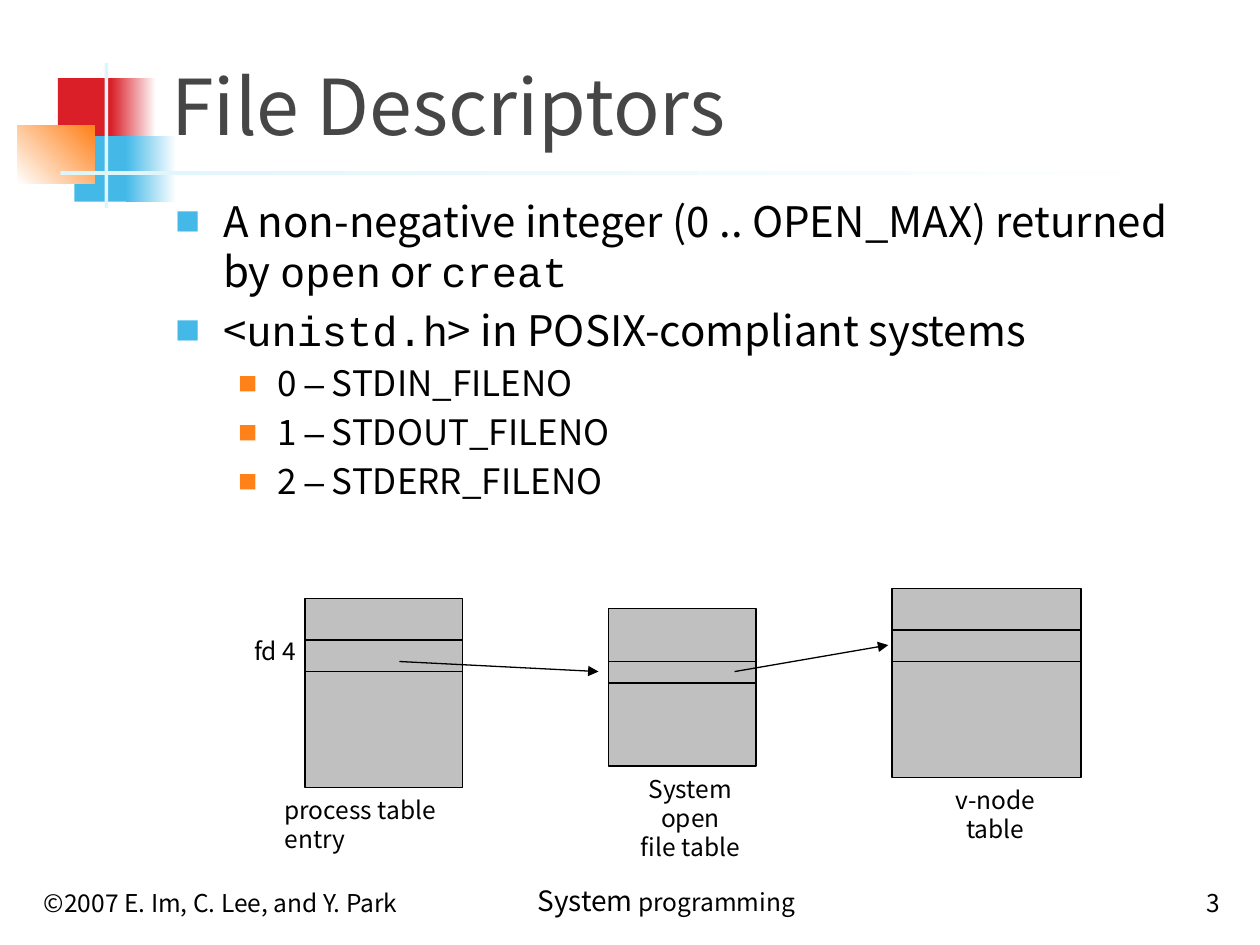
from typing import NamedTuple

from lxml import etree
from pptx import Presentation
from pptx.dml.color import RGBColor
from pptx.enum.shapes import MSO_CONNECTOR, MSO_SHAPE
from pptx.enum.text import MSO_ANCHOR, MSO_AUTO_SIZE, PP_ALIGN
from pptx.oxml.ns import qn
from pptx.util import Inches, Pt

RECTANGLE = MSO_SHAPE.RECTANGLE
STRAIGHT = MSO_CONNECTOR.STRAIGHT
LEFT, CENTER, RIGHT = PP_ALIGN.LEFT, PP_ALIGN.CENTER, PP_ALIGN.RIGHT
TOP, BOTTOM = MSO_ANCHOR.TOP, MSO_ANCHOR.BOTTOM

SANS, MONO, DASH = "Noto Sans CJK KR", "Courier New", "Arial"
COLORS = {
    "red": "DA1F28", "blue": "44B9E8", "orange": "FF8119", "pale": "DEF5FA",
    "white": "FFFFFF", "black": "000000", "title": "464646", "gray": "C0C0C0",
}


class Block(NamedTuple):
    """A decoration; with an end colour it is a gradient."""
    left: float
    top: float
    width: float
    height: float
    color: str
    end_color: str | None = None
    angle: float = 0


class Table(NamedTuple):
    """A kernel table drawn as a box with two row lines."""
    left: float
    top: float
    width: float
    height: float
    row_lines: tuple[float, float]


class Label(NamedTuple):
    left: float
    top: float
    width: float
    height: float
    lines: list[list[tuple[str, float]]]
    align: PP_ALIGN = LEFT
    anchor: MSO_ANCHOR = TOP


class Level(NamedTuple):
    size: float
    margin: float
    hanging: float
    bullet_color: str
    bullet_percent: int


BLOCKS = [
    Block(0.46, 0.62, 0.48, 0.52, "red"),
    Block(0.88, 0.62, 0.36, 0.52, "red", "white"),
    Block(0.59, 1.08, 0.46, 0.52, "blue"),
    Block(1, 1.08, 0.4, 0.52, "blue", "white"),
    Block(0.14, 1, 0.61, 0.46, "white", "orange", 45),
    Block(0.83, 0.5, 0.03, 1.15, "pale"),
    Block(0.48, 1.36, 9, 0.03, "pale", "white"),
]
LEVELS = [Level(24, 0.38, 0.38, "blue", 60), Level(20, 0.81, 0.31, "orange", 55)]
BULLETS = [
    (0, [("A non-negative integer (0 .. OPEN_MAX) returned by ", SANS),
         ("open", MONO), (" or ", SANS), ("creat", MONO)]),
    (0, [("<", SANS), ("unistd.h", MONO), ("> in POSIX-compliant systems", SANS)]),
] + [
    (1, [(f"{number} ", SANS), ("–", DASH), (f" {name}_FILENO", SANS)])
    for number, name in enumerate(["STDIN", "STDOUT", "STDERR"])
]
TABLES = [
    Table(2.42, 4.75, 1.25, 1.5, (5.08, 5.33)),
    Table(4.83, 4.83, 1.17, 1.25, (5.25, 5.42)),
    Table(7.08, 4.67, 1.5, 1.5, (5, 5.25)),
]
ARROWS = [(3.17, 5.25, 4.75, 5.33), (5.83, 5.33, 7.05, 5.12)]
LABELS = [
    Label(1.92, 5, 0.6, 0.33, [[("fd 4", 14)]]),
    Label(2.16, 6.26, 1.6, 0.57, [[("process table entry", 14)]]),
    Label(4.83, 6.09, 1.3, 0.8, [[("System open", 14)], [("file table", 14)]], CENTER),
    Label(7.3, 6.18, 1.2, 0.57, [[("v-node table", 14)]], CENTER),
    Label(0.25, 6.83, 3.11, 0.5, [[("©2007 E. Im, C. Lee, and Y. Park", 14)]], LEFT, BOTTOM),
    Label(3.5, 6.83, 3.58, 0.5, [[("System", 16), (" programming", 14)]], CENTER, BOTTOM),
    Label(7.7, 6.83, 2.08, 0.5, [[("3", 14)]], RIGHT, BOTTOM),
]


def rgb(name: str) -> RGBColor:
    return RGBColor.from_string(COLORS[name])


def place(shape, left: float, top: float, width: float, height: float) -> None:
    shape.left, shape.top = Inches(left), Inches(top)
    shape.width, shape.height = Inches(width), Inches(height)


def add_rectangle(slide, left: float, top: float, width: float, height: float):
    shape = slide.shapes.add_shape(
        RECTANGLE, Inches(left), Inches(top), Inches(width), Inches(height))
    shape.shadow.inherit = False
    return shape


def add_block(slide, block: Block) -> None:
    shape = add_rectangle(slide, *block[:4])
    shape.line.fill.background()
    if block.end_color is None:
        shape.fill.solid()
        shape.fill.fore_color.rgb = rgb(block.color)
        return
    shape.fill.gradient()
    shape.fill.gradient_angle = block.angle
    for stop, position, color in zip(
            shape.fill.gradient_stops, (0, 1), (block.color, block.end_color)):
        stop.position = position
        stop.color.rgb = rgb(color)


def add_line(slide, x1: float, y1: float, x2: float, y2: float, arrow: bool = False) -> None:
    connector = slide.shapes.add_connector(
        STRAIGHT, Inches(x1), Inches(y1), Inches(x2), Inches(y2))
    connector.line.color.rgb = rgb("black")
    connector.line.width = Pt(0.75)
    properties = connector._element.spPr
    if arrow:
        etree.SubElement(properties.find(qn("a:ln")), qn("a:tailEnd"), type="triangle")
    etree.SubElement(properties, qn("a:effectLst"))


def add_table_box(slide, table: Table) -> None:
    shape = add_rectangle(slide, *table[:4])
    shape.fill.solid()
    shape.fill.fore_color.rgb = rgb("gray")
    shape.line.color.rgb = rgb("black")
    shape.line.width = Pt(0.75)
    for y in table.row_lines:
        add_line(slide, table.left, y, table.left + table.width, y)


def add_label(slide, label: Label) -> None:
    box = slide.shapes.add_textbox(*(Inches(value) for value in label[:4]))
    frame = box.text_frame
    frame.word_wrap = True
    frame.vertical_anchor = label.anchor
    for index, runs in enumerate(label.lines):
        paragraph = frame.paragraphs[0] if index == 0 else frame.add_paragraph()
        paragraph.alignment = label.align
        paragraph.font.name = SANS
        paragraph.font.color.rgb = rgb("black")
        for text, size in runs:
            run = paragraph.add_run()
            run.text = text
            run.font.size = Pt(size)


def set_bullet(paragraph, level: Level) -> None:
    properties = paragraph._p.get_or_add_pPr()
    properties.set("marL", str(Inches(level.margin)))
    properties.set("indent", str(-Inches(level.hanging)))
    color = etree.SubElement(properties, qn("a:buClr"))
    etree.SubElement(color, qn("a:srgbClr"), val=COLORS[level.bullet_color])
    etree.SubElement(properties, qn("a:buSzPct"), val=str(level.bullet_percent * 1000))
    etree.SubElement(properties, qn("a:buFont"), typeface=SANS)
    etree.SubElement(properties, qn("a:buChar"), char="■")


def fill_title(title) -> None:
    place(title, 1.26, 0.23, 8.52, 1.02)
    frame = title.text_frame
    frame.text = "File Descriptors"
    frame.auto_size = MSO_AUTO_SIZE.NONE
    frame.vertical_anchor = BOTTOM
    paragraph = frame.paragraphs[0]
    paragraph.alignment = LEFT
    paragraph.font.name = SANS
    paragraph.font.size = Pt(44)
    paragraph.font.color.rgb = rgb("title")


def fill_body(body) -> None:
    place(body, 1.29, 1.5, 8.5, 5.21)
    frame = body.text_frame
    frame.auto_size = MSO_AUTO_SIZE.NONE
    for index, (depth, runs) in enumerate(BULLETS):
        level = LEVELS[depth]
        paragraph = frame.paragraphs[0] if index == 0 else frame.add_paragraph()
        paragraph.level = depth
        set_bullet(paragraph, level)
        paragraph.space_before = Pt(level.size * 0.2 if index else 0)
        paragraph.font.size = Pt(level.size)
        paragraph.font.color.rgb = rgb("black")
        for text, font in runs:
            run = paragraph.add_run()
            run.text = text
            run.font.name = font


def main() -> None:
    presentation = Presentation()
    presentation.slide_width, presentation.slide_height = Inches(10), Inches(7.5)
    slide = presentation.slides.add_slide(presentation.slide_layouts[1])

    # Corner decoration, kept behind the title and the list
    for block in BLOCKS:
        add_block(slide, block)
    title, body = slide.placeholders
    for placeholder in (title, body):
        slide.shapes._spTree.append(placeholder._element)
    fill_title(title)
    fill_body(body)

    # Kernel tables, pointers between them, labels and footer
    for table in TABLES:
        add_table_box(slide, table)
    for arrow in ARROWS:
        add_line(slide, *arrow, arrow=True)
    for label in LABELS:
        add_label(slide, label)

    presentation.save("out.pptx")


if __name__ == "__main__":
    main()
